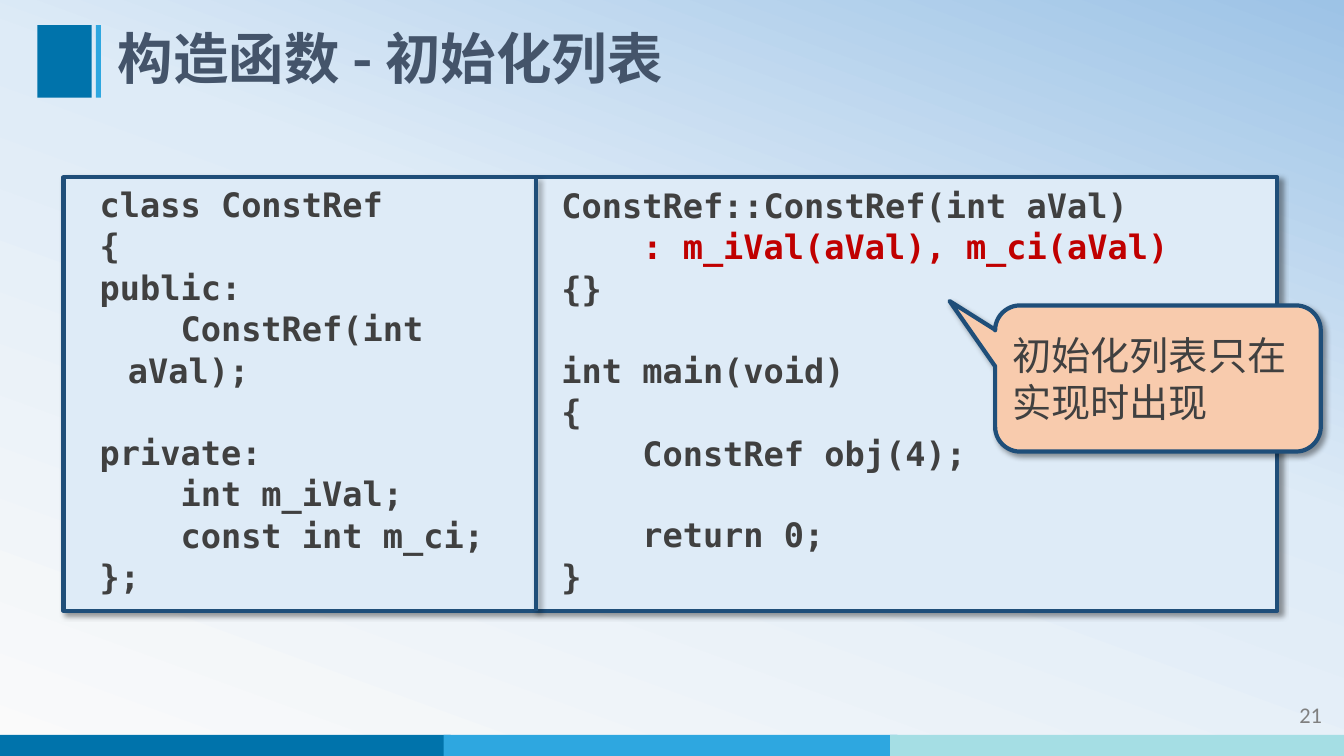
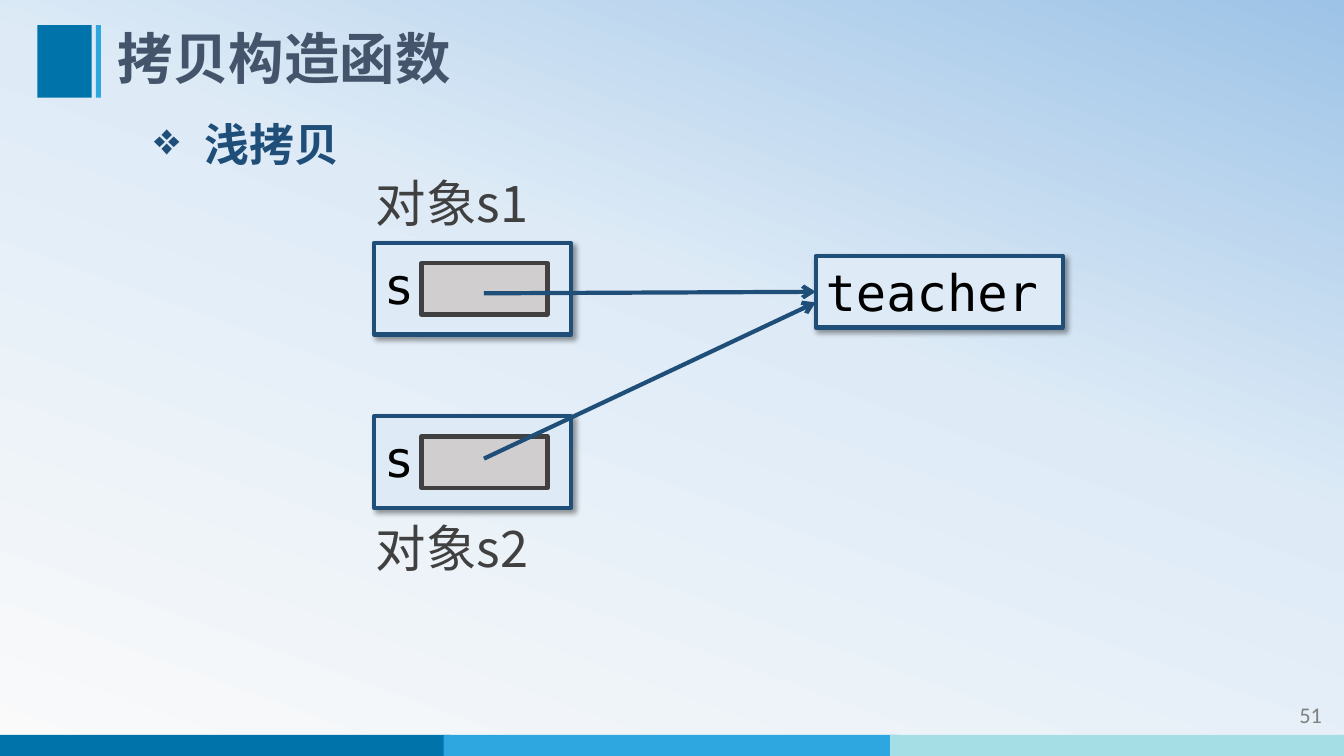
"""Build two C++ lecture slides on constructors and shallow copies."""
import dataclasses

import lxml.etree
import pptx
import pptx.dml.color
import pptx.enum.shapes
import pptx.enum.text
import pptx.oxml.ns
import pptx.util

Inches = pptx.util.Inches
Pt = pptx.util.Pt
qn = pptx.oxml.ns.qn
SHAPES = pptx.enum.shapes.MSO_SHAPE
ALIGN = pptx.enum.text.PP_ALIGN
ANCHOR = pptx.enum.text.MSO_ANCHOR


@dataclasses.dataclass(frozen=True)
class Theme:
    """Colours, fonts and sizes shared by the slides."""
    sky: tuple = ((0, "FAFAFA"), (58, "DEEBF7"), (100, "9DC3E6"))
    sky_angle: int = 70
    bands: tuple = ("0073AB", "2EA7E0", "A5DEE4")
    title: str = "44546A"
    navy: str = "1F4E79"
    panel: str = "DEEBF7"
    text: str = "404040"
    black: str = "000000"
    accent: str = "C00000"
    callout: str = "F8CBAD"
    cell: str = "D0CECE"
    number: str = "808080"
    sans: str = "Noto Sans CJK SC"
    mono: str = "DejaVu Sans Mono"
    digits: str = "Calibri"
    title_size: float = 39.6
    label_size: int = 36
    bullet_size: int = 32
    callout_size: int = 28
    code_size: int = 24
    number_size: int = 16
    code_spacing: float = 1.03
    code_gap: float = 28.8
    stroke: int = 3


THEME = Theme()

CLASS_CODE = """class ConstRef
{
public:
    ConstRef(int aVal);

private:
    int m_iVal;
    const int m_ci;
};"""

MAIN_CODE = """ConstRef::ConstRef(int aVal)
    : m_iVal(aVal), m_ci(aVal)
{}

int main(void)
{
    ConstRef obj(4);

    return 0;
}"""


def rgb(value):
    """Return a colour object for a hex string."""
    return pptx.dml.color.RGBColor.from_string(value)


def sub(parent, tag, **attributes):
    """Append a namespaced XML element with attributes."""
    element = lxml.etree.SubElement(parent, qn(tag))
    for key, value in attributes.items():
        element.set(key, str(value))
    return element


def set_effect(shape, shadow):
    """Give a shape or connector the soft shadow, or none."""
    properties = shape._element.spPr
    for old in properties.findall(qn("a:effectLst")):
        properties.remove(old)
    effects = sub(properties, "a:effectLst")
    if shadow:
        outer = sub(effects, "a:outerShdw", blurRad=Pt(4), dist=Pt(3),
                    dir=45 * 60000, algn="tl", rotWithShape=0)
        sub(sub(outer, "a:srgbClr", val=THEME.black), "a:alpha", val=40000)


def add_block(slide, box, fill, line=None, shadow=False, kind=SHAPES.RECTANGLE):
    """Draw a filled preset shape in a box."""
    block = slide.shapes.add_shape(kind, *map(Inches, box))
    block.fill.solid()
    block.fill.fore_color.rgb = rgb(fill)
    if line:
        block.line.color.rgb = rgb(line)
        block.line.width = Pt(THEME.stroke)
    else:
        block.line.fill.background()
    set_effect(block, shadow)
    return block


def add_line(slide, start, end, shadow=False, arrow=False):
    """Draw a straight navy line between two points."""
    line = slide.shapes.add_connector(
        pptx.enum.shapes.MSO_CONNECTOR.STRAIGHT, *map(Inches, start + end))
    line.line.color.rgb = rgb(THEME.navy)
    line.line.width = Pt(THEME.stroke)
    if arrow:
        sub(line.line._get_or_add_ln(), "a:tailEnd", type="arrow")
    set_effect(line, shadow)
    return line


def add_run(paragraph, text, font, size, color, bold=False):
    """Append one styled run."""
    run = paragraph.add_run()
    run.text = text
    run.font.name = font
    run.font.size = Pt(size)
    run.font.bold = bold
    run.font.color.rgb = rgb(color)
    sub(run._r.get_or_add_rPr(), "a:ea", typeface=font)


def write(shape, text, font, size, color, bold=False, align=ALIGN.LEFT,
          anchor=ANCHOR.TOP, grow=False):
    """Write one styled paragraph into a shape and return it."""
    frame = shape.text_frame
    frame.word_wrap = True
    frame.vertical_anchor = anchor
    if grow:
        frame.auto_size = pptx.enum.text.MSO_AUTO_SIZE.SHAPE_TO_FIT_TEXT
    paragraph = frame.paragraphs[0]
    paragraph.alignment = align
    add_run(paragraph, text, font, size, color, bold)
    return paragraph


def add_text(slide, box, *args, **options):
    """Add a text box holding one styled paragraph."""
    return write(slide.shapes.add_textbox(*map(Inches, box)), *args, **options)


def set_indent(paragraph, left, first):
    """Set the left margin and first-line indent in inches."""
    properties = paragraph._p.get_or_add_pPr()
    properties.set("marL", str(Inches(left)))
    properties.set("indent", str(Inches(first)))
    return properties


def add_code(slide, box, code, accent=None):
    """Add a code listing, with one line optionally accented."""
    frame = slide.shapes.add_textbox(*map(Inches, box)).text_frame
    frame.word_wrap = True
    paragraph = frame.paragraphs[0]
    for block_index, block in enumerate(code.split("\n\n")):
        for line_index, line in enumerate(block.split("\n")):
            if block_index or line_index:
                paragraph = frame.add_paragraph()
            if block_index and not line_index:
                paragraph.space_before = Pt(THEME.code_gap)
            paragraph.line_spacing = THEME.code_spacing
            set_indent(paragraph, 0.4, -0.28)
            color = THEME.accent if line.strip() == accent else THEME.text
            add_run(paragraph, line, THEME.mono, THEME.code_size, color, True)


def add_page(deck, title, number):
    """Add a slide with background, footer bands, title and number."""
    slide = deck.slides.add_slide(deck.slide_layouts[6])
    sky = slide.background.fill
    sky.gradient()
    sky.gradient_angle = THEME.sky_angle
    stops = next(slide._element.iter(qn("a:gsLst")))
    for stop in list(stops):
        stops.remove(stop)
    for position, color in THEME.sky:
        sub(sub(stops, "a:gs", pos=position * 1000), "a:srgbClr", val=color)
    for index, color in enumerate(THEME.bands):
        add_block(slide, (-0.03 + 4.43 * index, 7.29, 4.5, 0.21), color)
    for left, width, color in zip((0.37, 0.95), (0.54, 0.05), THEME.bands):
        add_block(slide, (left, 0.25, width, 0.72), color)
    add_text(slide, (11.62, 6.91, 1.59, 0.4), str(number), THEME.digits,
             THEME.number_size, THEME.number, align=ALIGN.RIGHT)
    heading = add_text(slide, (1.07, 0.25, 10.86, 0.72), title, THEME.sans,
                       THEME.title_size, THEME.title, bold=True, anchor=ANCHOR.MIDDLE)
    heading.line_spacing = 0.9
    return slide


def add_code_panel(slide, box):
    """Draw the two-column code panel in a box."""
    left, top, width, height = box
    divider = left + 4.69
    add_block(slide, box, THEME.panel, THEME.navy, shadow=True)
    add_code(slide, (left + 0.14, top, 4.58, 3.98), CLASS_CODE)
    add_code(slide, (divider + 0.03, top + 0.01, 7.47, 3.97), MAIN_CODE,
             accent=": m_iVal(aVal), m_ci(aVal)")
    add_line(slide, (divider, top), (divider, top + height), shadow=True)


def add_callout(slide, box, text):
    """Draw the rounded speech callout in a box."""
    callout = add_block(slide, box, THEME.callout, THEME.navy, True,
                        SHAPES.ROUNDED_RECTANGULAR_CALLOUT)
    callout.adjustments[0] = -0.64
    callout.adjustments[1] = -0.53
    callout.adjustments[2] = 0.17
    write(callout, text, THEME.sans, THEME.callout_size, THEME.text,
          anchor=ANCHOR.MIDDLE)


def add_object(slide, left, top, label, label_offset):
    """Draw one object with its pointer member and caption."""
    add_block(slide, (left, top, 1.95, 0.91), THEME.panel, THEME.navy, shadow=True)
    add_block(slide, (left + 0.47, top + 0.2, 1.25, 0.51), THEME.cell, THEME.text)
    add_text(slide, (left, top + 0.06, 0.55, 0.71), "s", THEME.mono,
             THEME.label_size, THEME.black, grow=True)
    add_text(slide, (left - 0.08, top + label_offset, 2.3, 0.71), label,
             THEME.sans, THEME.label_size, THEME.text, grow=True)


def add_bullet(slide, box, text):
    """Add a bold heading with a diamond bullet."""
    paragraph = add_text(slide, box, text, THEME.sans, THEME.bullet_size,
                         THEME.navy, bold=True, grow=True)
    properties = set_indent(paragraph, 0.5, -0.5)
    sub(sub(properties, "a:buClr"), "a:srgbClr", val=THEME.navy)
    sub(properties, "a:buChar", char="❖")


def build_initializer_slide(deck):
    """Build the slide on initializer lists."""
    slide = add_page(deck, "构造函数 - 初始化列表", 21)
    add_code_panel(slide, (0.63, 1.76, 12.04, 4.3))
    add_callout(slide, (9.87, 3.03, 3.23, 1.45), "初始化列表只在实现时出现")


def build_shallow_copy_slide(deck):
    """Build the slide on shallow copies."""
    slide = add_page(deck, "拷贝构造函数", 51)
    add_bullet(slide, (1.43, 1.11, 2.27, 0.64), "浅拷贝")
    add_object(slide, 3.71, 2.41, "对象s1", -0.75)
    add_object(slide, 3.71, 4.13, "对象s2", 0.95)
    teacher = add_block(slide, (8.09, 2.54, 2.45, 0.71), THEME.panel,
                        THEME.navy, shadow=True)
    write(teacher, "teacher", THEME.mono, THEME.label_size, THEME.black, grow=True)
    first_pointer = add_line(slide, (4.8, 2.91), (8.09, 2.9), arrow=True)
    first_pointer.end_connect(teacher, 1)
    add_line(slide, (4.8, 4.55), (8.09, 3), arrow=True)


def main():
    """Build and save the deck."""
    deck = pptx.Presentation()
    deck.slide_width = Inches(13.33)
    deck.slide_height = Inches(7.5)
    build_initializer_slide(deck)
    build_shallow_copy_slide(deck)
    deck.save("out.pptx")


if __name__ == "__main__":
    main()
